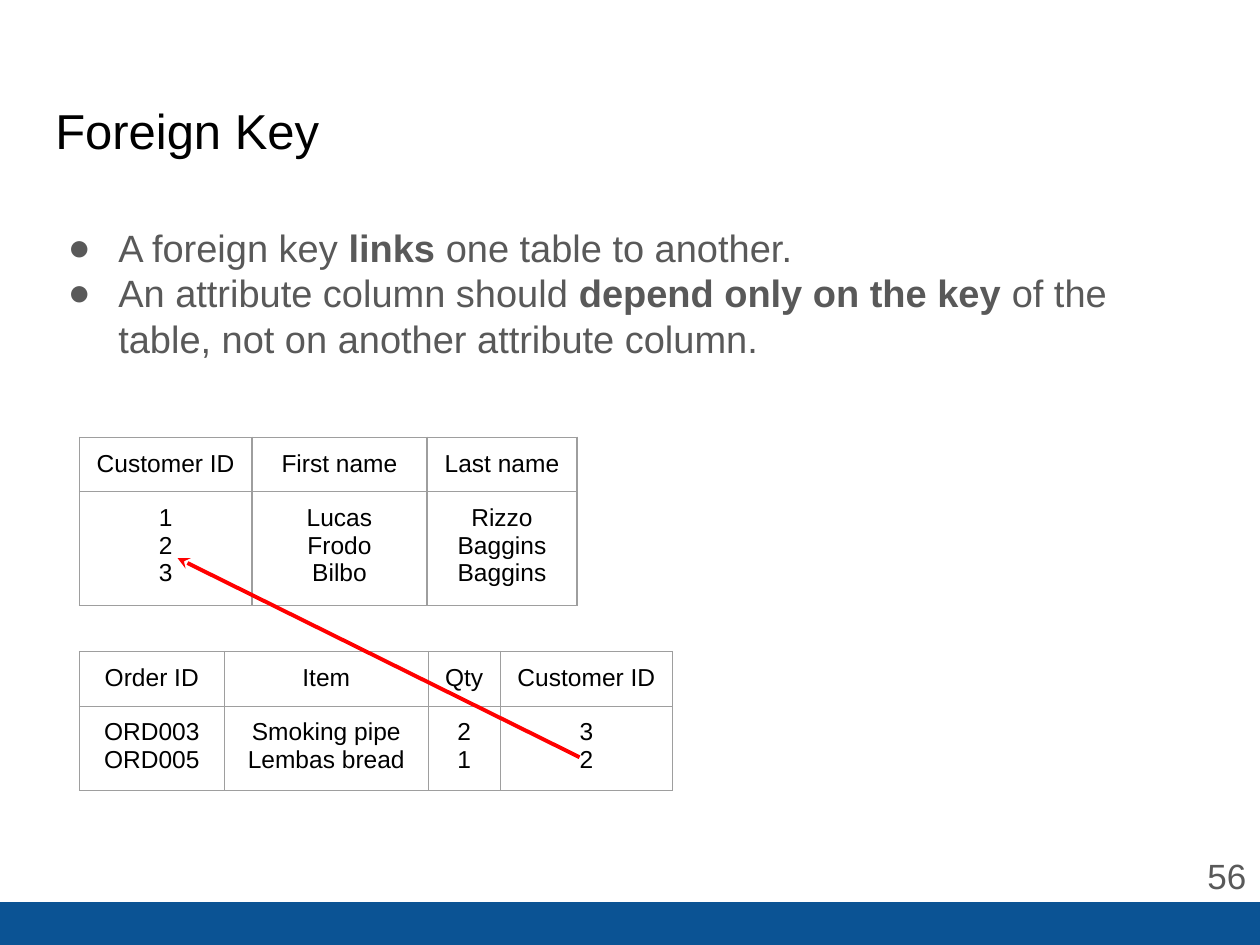
from lxml import etree
from pptx import Presentation
from pptx.dml.color import RGBColor
from pptx.enum import shapes, text
from pptx.oxml import ns
from pptx.util import Inches, Pt

BLACK = RGBColor(0x00, 0x00, 0x00)
GRAY = RGBColor(0x59, 0x59, 0x59)
BLUE = RGBColor(0x0B, 0x53, 0x94)
RED = RGBColor(0xFF, 0x00, 0x00)
BORDER = "9E9E9E"
FONT = "Arial"

TITLE = "Foreign Key"
PAGE_NUMBER = "56"
BULLETS = [
    [("A foreign key ", False), ("links ", True), ("one table to another.", False)],
    [("An attribute column should ", False), ("depend only on the key", True),
     (" of the table, not on another attribute column.", False)],
]
TABLE_LEFT = 0.63
HEADER_HEIGHT = 0.42
LINE_HEIGHT = 0.22
CELL_MARGIN = 0.1
TABLES = [
    {"top": 3.47, "widths": [1.37, 1.39, 1.19],
     "header": ["Customer ID", "First name", "Last name"],
     "records": [("1", "Lucas", "Rizzo"), ("2", "Frodo", "Baggins"),
                 ("3", "Bilbo", "Baggins")]},
    {"top": 5.17, "widths": [1.15, 1.62, 0.57, 1.37],
     "header": ["Order ID", "Item", "Qty", "Customer ID"],
     "records": [("ORD003", "Smoking pipe", "2", "3"),
                 ("ORD005", "Lembas bread", "1", "2")]},
]
REFERENCED_KEY = (1.41, 4.43)
FOREIGN_KEY = (4.6, 6.01)


def add_element(parent, tag, **attributes):
    return etree.SubElement(parent, ns.qn(tag), attributes)


def style(font, size, color, bold=False):
    font.name = FONT
    font.size = Pt(size)
    font.color.rgb = color
    font.bold = bold


def add_box(page, left, top, width, height, inset_top=0.1):
    box = page.shapes.add_textbox(*map(Inches, (left, top, width, height)))
    frame = box.text_frame
    frame.word_wrap = True
    frame.margin_left = frame.margin_right = frame.margin_bottom = Inches(0.1)
    frame.margin_top = Inches(inset_top)
    return frame


def add_bullets(page):
    frame = add_box(page, 0.34, 1.68, 9.32, 4.98)
    for index, spans in enumerate(BULLETS):
        para = frame.paragraphs[0] if index == 0 else frame.add_paragraph()
        properties = para._p.get_or_add_pPr()
        properties.set("marL", str(Inches(0.5)))
        properties.set("indent", str(Inches(-0.4)))
        color = add_element(properties, "a:buClr")
        add_element(color, "a:srgbClr", val=str(GRAY))
        add_element(properties, "a:buFont", typeface=FONT)
        add_element(properties, "a:buChar", char="●")
        for words, bold in spans:
            span = para.add_run()
            span.text = words
            style(span.font, 21.7, GRAY, bold)


def fill_cell(cell, words):
    cell.text_frame.text = words
    cell.fill.background()
    cell.margin_left = cell.margin_right = Inches(CELL_MARGIN)
    cell.margin_top = cell.margin_bottom = Inches(CELL_MARGIN)
    for para in cell.text_frame.paragraphs:
        para.alignment = text.PP_ALIGN.CENTER
        for span in para.runs:
            style(span.font, 14, BLACK)
    properties = cell._tc.get_or_add_tcPr()
    for index, side in enumerate(("a:lnL", "a:lnR", "a:lnT", "a:lnB")):
        line = etree.Element(ns.qn(side), w=str(Pt(0.75)))
        add_element(add_element(line, "a:solidFill"), "a:srgbClr", val=BORDER)
        properties.insert(index, line)


def add_data_table(page, content):
    widths = content["widths"]
    body_height = 2 * CELL_MARGIN + LINE_HEIGHT * len(content["records"])
    heights = [HEADER_HEIGHT, body_height]
    frame = page.shapes.add_table(
        2, len(widths), Inches(TABLE_LEFT), Inches(content["top"]),
        Inches(sum(widths)), Inches(sum(heights)))
    table = frame.table
    for row, height in zip(table.rows, heights):
        row.height = Inches(height)
    columns = zip(widths, content["header"], zip(*content["records"]))
    for index, (width, heading, values) in enumerate(columns):
        table.columns[index].width = Inches(width)
        fill_cell(table.cell(0, index), heading)
        fill_cell(table.cell(1, index), "\n".join(values))


def add_key_arrow(page):
    arrow = page.shapes.add_connector(
        shapes.MSO_CONNECTOR.STRAIGHT, *map(Inches, REFERENCED_KEY + FOREIGN_KEY))
    arrow.line.color.rgb = RED
    arrow.line.width = Pt(2.25)
    add_element(arrow.line._get_or_add_ln(), "a:headEnd", type="stealth")
    add_element(arrow._element.spPr, "a:effectLst")


def main():
    deck = Presentation()
    deck.slide_width, deck.slide_height = Inches(10), Inches(7.5)
    page = deck.slides.add_slide(deck.slide_layouts[6])

    footer = page.shapes.add_shape(
        shapes.MSO_SHAPE.RECTANGLE, *map(Inches, (0, 7.16, 10, 0.34)))
    footer.shadow.inherit = False
    footer.fill.solid()
    footer.fill.fore_color.rgb = BLUE
    footer.line.fill.background()

    title = add_box(page, 0.34, 0.65, 9.32, 0.83, inset_top=0.15)
    title.text = TITLE
    style(title.paragraphs[0].runs[0].font, 28, BLACK)

    add_bullets(page)

    number = add_box(page, 9.35, 6.66, 0.64, 0.57)
    number.text = PAGE_NUMBER
    number.vertical_anchor = text.MSO_ANCHOR.MIDDLE
    number.paragraphs[0].alignment = text.PP_ALIGN.RIGHT
    style(number.paragraphs[0].runs[0].font, 20, GRAY)

    for content in TABLES:
        add_data_table(page, content)
    add_key_arrow(page)
    deck.save("out.pptx")


if __name__ == "__main__":
    main()
